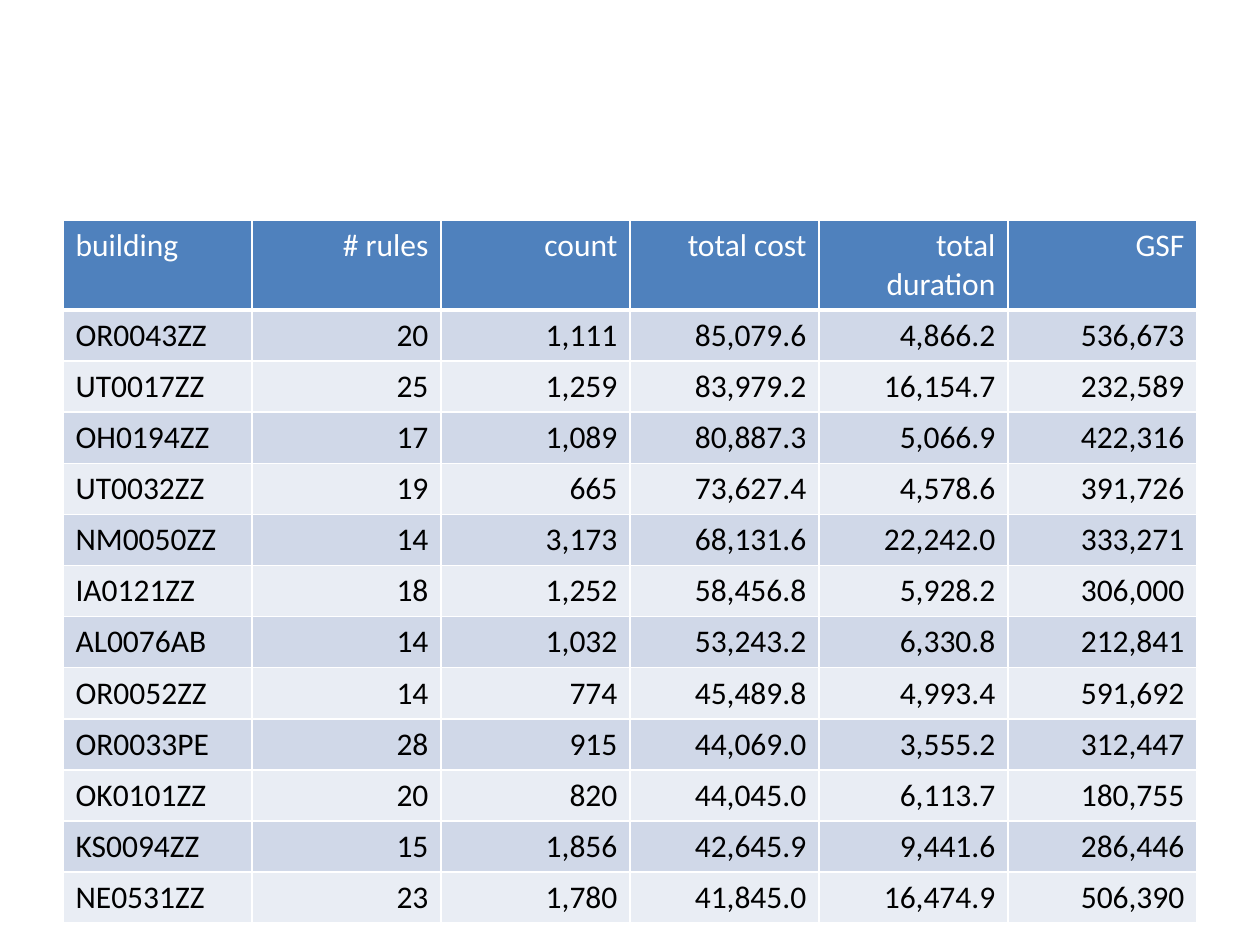
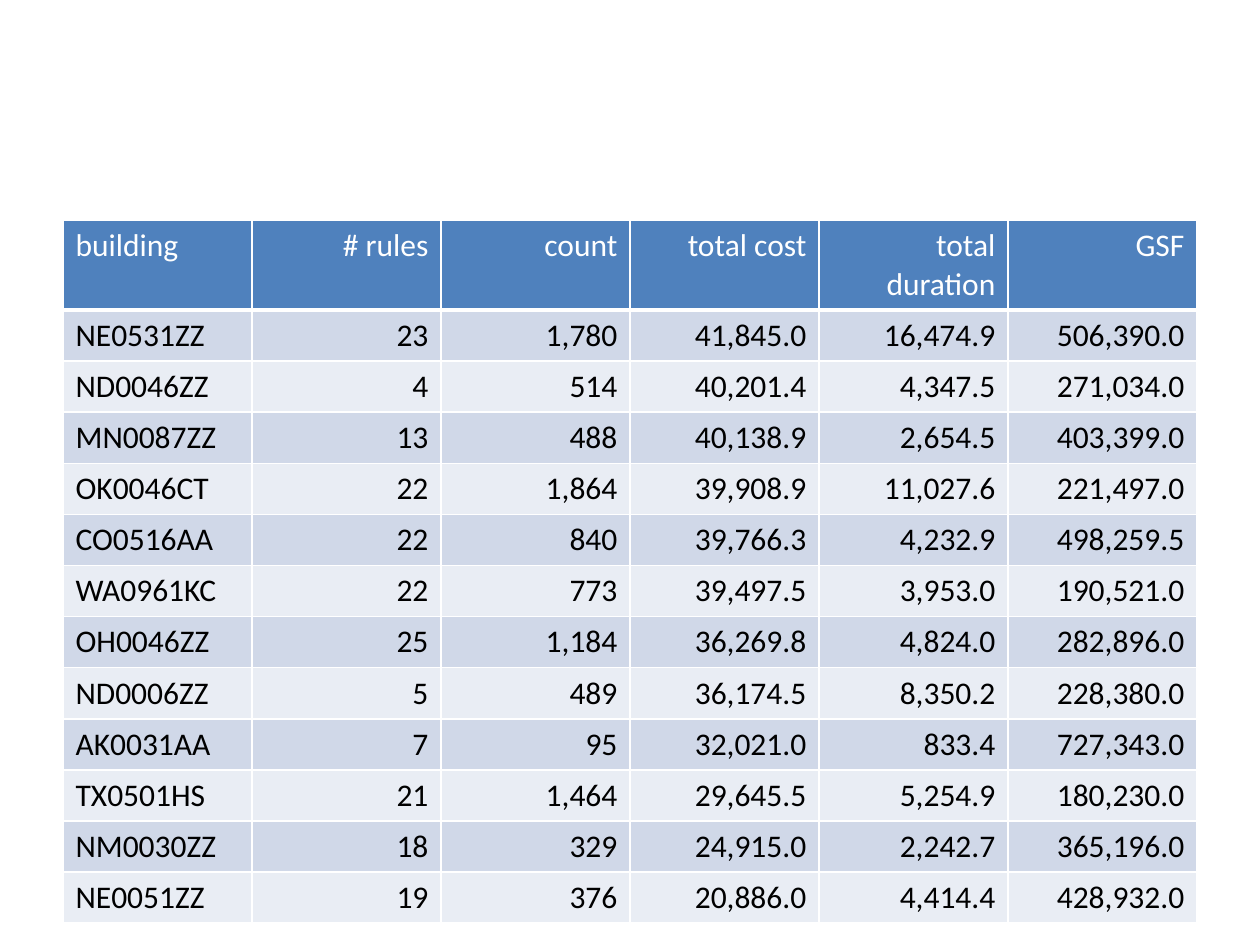
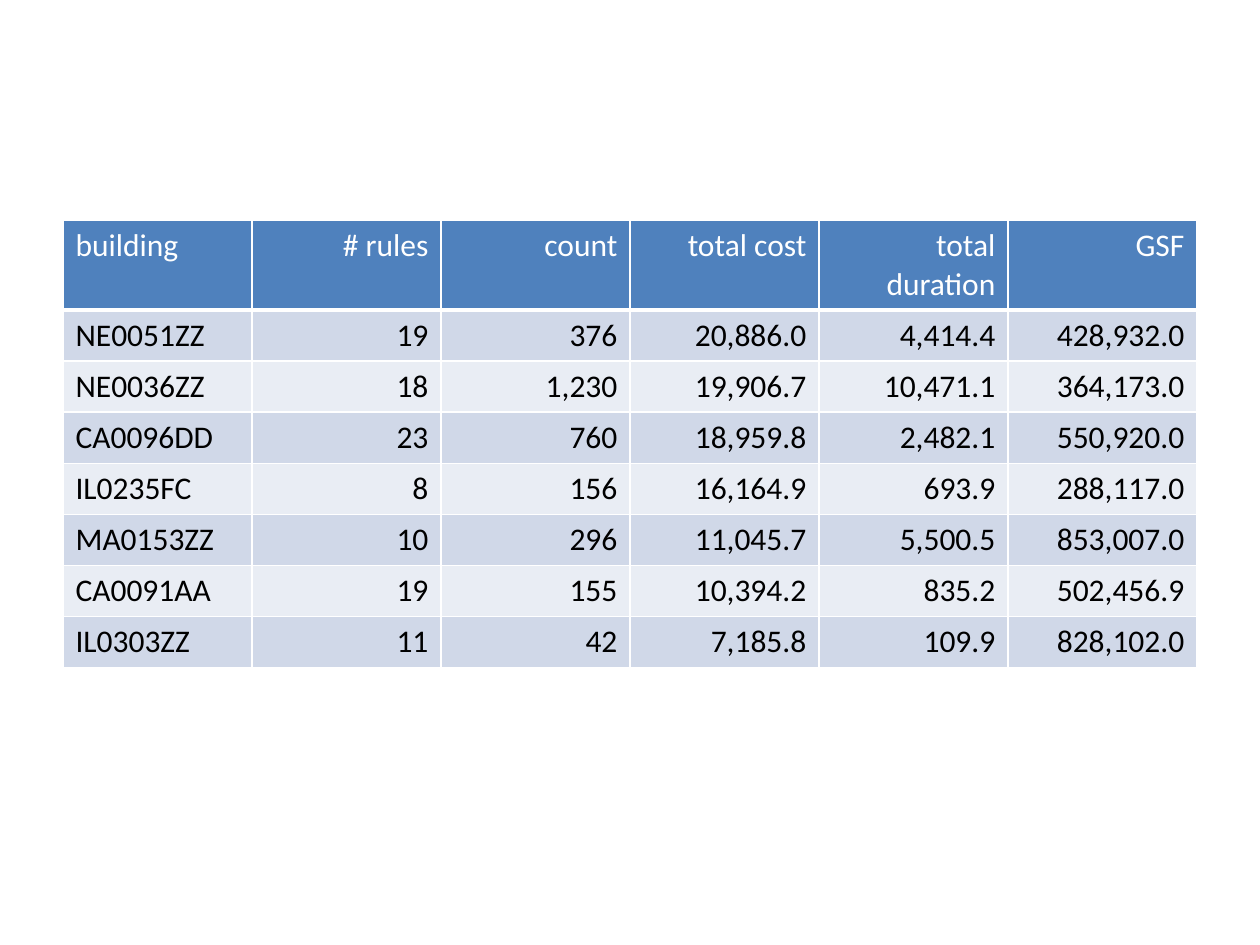
from pptx import Presentation
from pptx.dml.color import RGBColor
from pptx.enum.text import PP_ALIGN as Align
from pptx.oxml.ns import qn
from pptx.util import Pt
from lxml.etree import SubElement

EMU_PER_PX = 4572
SLIDE_SIZE = (2000, 1500)
TABLE_BOX = (100, 350, 1800)
HEADER_HEIGHT = 142
ROW_HEIGHT = 81
FONT = "Calibri"
WHITE = "FFFFFF"
BLACK = "000000"
HEADER_FILL = "4F81BD"
BAND_FILLS = ("D0D8E8", "E9EDF4")
HEADINGS = ("building", "# rules", "count", "total cost", "total duration", "GSF")

TOP_BUILDINGS = """
OR0043ZZ 20 1,111 85,079.6 4,866.2 536,673
UT0017ZZ 25 1,259 83,979.2 16,154.7 232,589
OH0194ZZ 17 1,089 80,887.3 5,066.9 422,316
UT0032ZZ 19 665 73,627.4 4,578.6 391,726
NM0050ZZ 14 3,173 68,131.6 22,242.0 333,271
IA0121ZZ 18 1,252 58,456.8 5,928.2 306,000
AL0076AB 14 1,032 53,243.2 6,330.8 212,841
OR0052ZZ 14 774 45,489.8 4,993.4 591,692
OR0033PE 28 915 44,069.0 3,555.2 312,447
OK0101ZZ 20 820 44,045.0 6,113.7 180,755
KS0094ZZ 15 1,856 42,645.9 9,441.6 286,446
NE0531ZZ 23 1,780 41,845.0 16,474.9 506,390
"""

MIDDLE_BUILDINGS = """
NE0531ZZ 23 1,780 41,845.0 16,474.9 506,390.0
ND0046ZZ 4 514 40,201.4 4,347.5 271,034.0
MN0087ZZ 13 488 40,138.9 2,654.5 403,399.0
OK0046CT 22 1,864 39,908.9 11,027.6 221,497.0
CO0516AA 22 840 39,766.3 4,232.9 498,259.5
WA0961KC 22 773 39,497.5 3,953.0 190,521.0
OH0046ZZ 25 1,184 36,269.8 4,824.0 282,896.0
ND0006ZZ 5 489 36,174.5 8,350.2 228,380.0
AK0031AA 7 95 32,021.0 833.4 727,343.0
TX0501HS 21 1,464 29,645.5 5,254.9 180,230.0
NM0030ZZ 18 329 24,915.0 2,242.7 365,196.0
NE0051ZZ 19 376 20,886.0 4,414.4 428,932.0
"""

BOTTOM_BUILDINGS = """
NE0051ZZ 19 376 20,886.0 4,414.4 428,932.0
NE0036ZZ 18 1,230 19,906.7 10,471.1 364,173.0
CA0096DD 23 760 18,959.8 2,482.1 550,920.0
IL0235FC 8 156 16,164.9 693.9 288,117.0
MA0153ZZ 10 296 11,045.7 5,500.5 853,007.0
CA0091AA 19 155 10,394.2 835.2 502,456.9
IL0303ZZ 11 42 7,185.8 109.9 828,102.0
"""


def px(length):
    return length * EMU_PER_PX


def color(value):
    return RGBColor.from_string(value)


def set_borders(cell, bottom_width):
    properties = cell._tc.get_or_add_tcPr()
    widths = {"a:lnL": 1, "a:lnR": 1, "a:lnT": 1, "a:lnB": bottom_width}
    for position, (tag, width) in enumerate(widths.items()):
        line = SubElement(properties, qn(tag), w=str(Pt(width)))
        fill = SubElement(line, qn("a:solidFill"))
        SubElement(fill, qn("a:srgbClr"), val=WHITE)
        properties.insert(position, line)


def fill_cell(cell, text, align, text_color, fill_color, bottom_width):
    cell.fill.solid()
    cell.fill.fore_color.rgb = color(fill_color)
    set_borders(cell, bottom_width)
    paragraph = cell.text_frame.paragraphs[0]
    paragraph.alignment = align
    run = paragraph.add_run()
    run.text = text
    run.font.name = FONT
    run.font.size = Pt(18)
    run.font.bold = False
    run.font.color.rgb = color(text_color)


def add_building_table(slide, box, buildings):
    left, top, width = box
    rows = [HEADINGS, *(line.split() for line in buildings.split("\n") if line)]
    height = HEADER_HEIGHT + ROW_HEIGHT * (len(rows) - 1)
    table = slide.shapes.add_table(
        len(rows), len(HEADINGS), px(left), px(top), px(width), px(height)
    ).table
    for row_index, values in enumerate(rows):
        is_header = row_index == 0
        table.rows[row_index].height = px(HEADER_HEIGHT if is_header else ROW_HEIGHT)
        if is_header:
            style = (WHITE, HEADER_FILL, 3)
        else:
            style = (BLACK, BAND_FILLS[(row_index - 1) % 2], 1)
        for column_index, text in enumerate(values):
            align = Align.RIGHT if column_index else Align.LEFT
            fill_cell(table.cell(row_index, column_index), text, align, *style)


def main():
    presentation = Presentation()
    presentation.slide_width, presentation.slide_height = map(px, SLIDE_SIZE)
    for buildings in (TOP_BUILDINGS, MIDDLE_BUILDINGS, BOTTOM_BUILDINGS):
        slide = presentation.slides.add_slide(presentation.slide_layouts[6])
        add_building_table(slide, TABLE_BOX, buildings)
    presentation.save("out.pptx")


if __name__ == "__main__":
    main()
